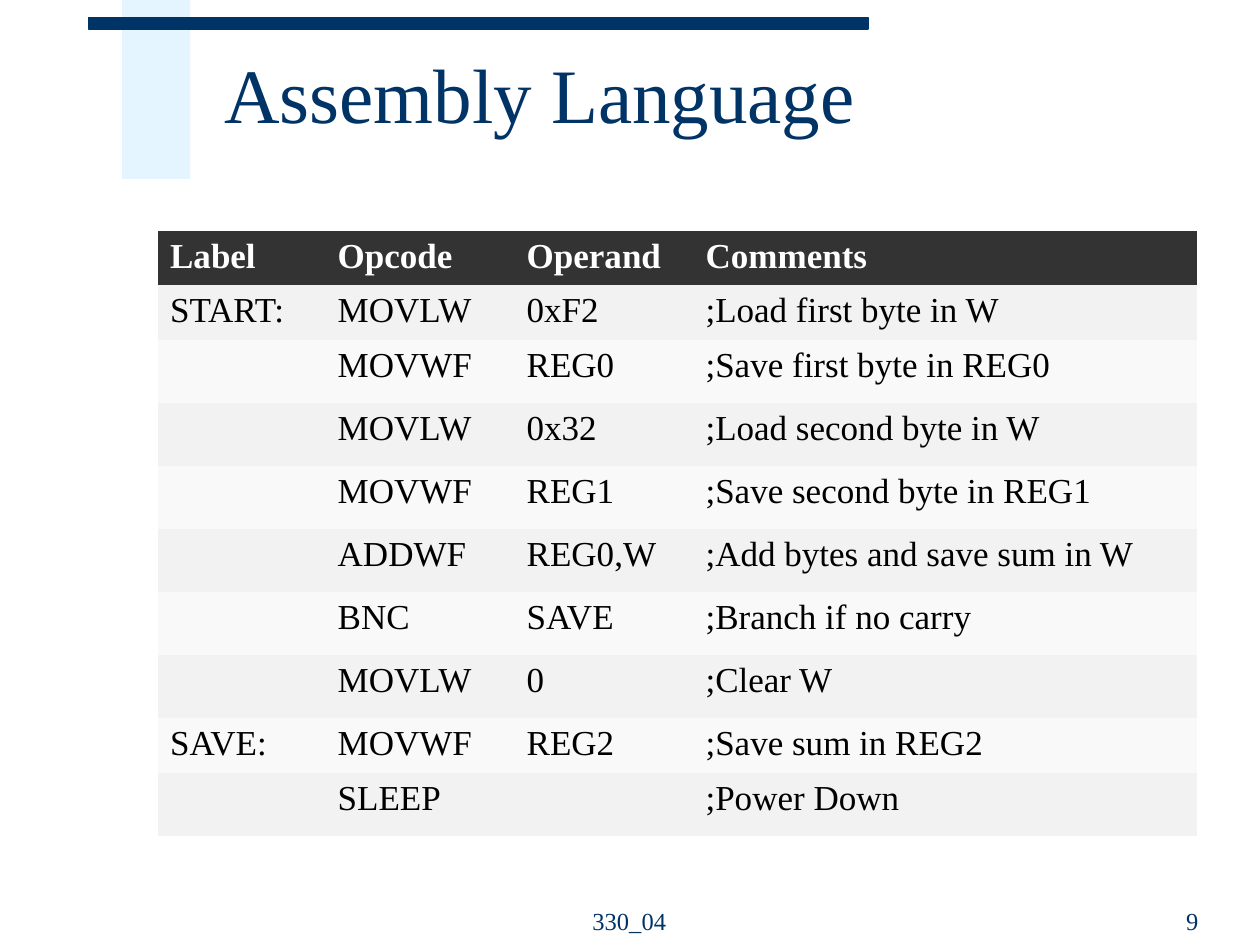
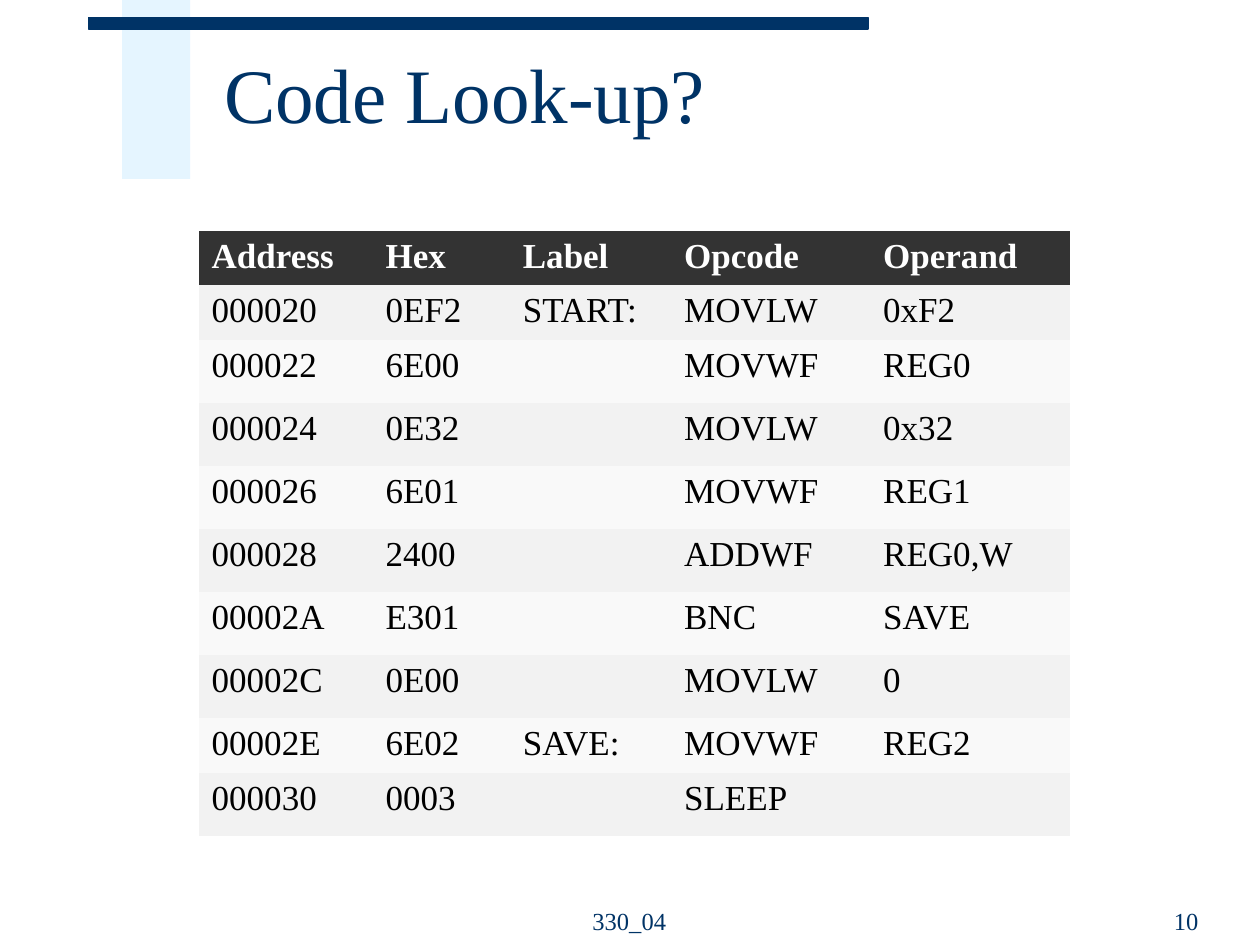
from dataclasses import dataclass

from lxml import etree
from pptx import Presentation
from pptx import util as u
from pptx.dml.color import RGBColor
from pptx.enum import shapes, text
from pptx.oxml import ns


@dataclass(frozen=True)
class Theme:
    font: str = "Times New Roman"
    navy: str = "003366"
    pale_blue: str = "CCECFF"
    header_fill: str = "333333"
    header_text: str = "FFFFFF"
    row_fills: tuple = ("F2F2F2", "F9F9F9")
    body_text: str = "000000"
    title_size: int = 44
    footer_size: int = 14
    table_size: int = 20
    empty_cell_size: int = 24


THEME = Theme()
NO_GRID_STYLE = "{2D5ABB26-0587-4C30-8999-92F81FD0307C}"
FIRST_ADDRESS = 0x20
BYTES_PER_INSTRUCTION = 2

# Hex code, label, opcode, operand, comment
PROGRAM = [
    ("0EF2", "START:", "MOVLW", "0xF2", ";Load first byte in W"),
    ("6E00", "", "MOVWF", "REG0", ";Save first byte in REG0"),
    ("0E32", "", "MOVLW", "0x32", ";Load second byte in W"),
    ("6E01", "", "MOVWF", "REG1", ";Save second byte in REG1"),
    ("2400", "", "ADDWF", "REG0,W", ";Add bytes and save sum in W"),
    ("E301", "", "BNC", "SAVE", ";Branch if no carry"),
    ("0E00", "", "MOVLW", "0", ";Clear W"),
    ("6E02", "SAVE:", "MOVWF", "REG2", ";Save sum in REG2"),
    ("0003", "", "SLEEP", "", ";Power Down"),
]


def box(left, top, width, height):
    return [u.Inches(length) for length in (left, top, width, height)]


def add_run(paragraph, words, size, color, bold=False):
    run = paragraph.add_run()
    run.text = words
    run.font.name = THEME.font
    run.font.size = u.Pt(size)
    run.font.bold = bold
    run.font.color.rgb = RGBColor.from_string(color)


def add_band(slide, place, color, opacity=None):
    band = slide.shapes.add_shape(shapes.MSO_SHAPE.RECTANGLE, *box(*place))
    band.shadow.inherit = False
    band.fill.solid()
    band.fill.fore_color.rgb = RGBColor.from_string(color)
    if opacity is None:
        band.line.color.rgb = RGBColor.from_string(color)
        band.line.width = u.Pt(0.75)
    else:
        band.line.fill.background()
        tint = band.fill._xPr.find(".//" + ns.qn("a:srgbClr"))
        etree.SubElement(tint, ns.qn("a:alpha"), val=str(opacity * 1000))


def add_text(slide, place, words, size, anchor, align, spacing=None):
    frame = slide.shapes.add_textbox(*box(*place)).text_frame
    frame.word_wrap = True
    frame.vertical_anchor = anchor
    paragraph = frame.paragraphs[0]
    paragraph.alignment = align
    paragraph.line_spacing = spacing
    add_run(paragraph, words, size, THEME.navy)


def add_base_slide(deck, title, number):
    """Add a slide with the bands, title and footer that all slides share."""
    slide = deck.slides.add_slide(deck.slide_layouts[6])
    add_band(slide, (0.97, 0, 0.54, 1.42), THEME.pale_blue, opacity=50)
    add_band(slide, (0.7, 0.14, 6.19, 0.09), THEME.navy)
    add_text(slide, (1.68, 0.17, 8.07, 1.25), title, THEME.title_size,
             text.MSO_ANCHOR.MIDDLE, text.PP_ALIGN.LEFT, spacing=0.85)
    footers = [
        ((4.08, 6.97, 1.83, 0.5), "330_04", text.PP_ALIGN.CENTER),
        ((7.21, 6.97, 2.4, 0.5), str(number), text.PP_ALIGN.RIGHT),
    ]
    for place, words, align in footers:
        add_text(slide, place, words, THEME.footer_size,
                 text.MSO_ANCHOR.BOTTOM, align)
    return slide


def fill_cell(cell, words, fill, color, bold):
    cell.fill.solid()
    cell.fill.fore_color.rgb = RGBColor.from_string(fill)
    paragraph = cell.text_frame.paragraphs[0]
    if words:
        add_run(paragraph, words, THEME.table_size, color, bold)
    else:
        # The size of an empty cell sets the height of its row
        end = etree.SubElement(paragraph._p, ns.qn("a:endParaRPr"),
                               sz=str(THEME.empty_cell_size * 100))
        etree.SubElement(end, ns.qn("a:latin"), typeface=THEME.font)


def add_code_table(slide, left, widths, header, lines):
    rows = [header, *lines]
    place = box(left, 1.83, sum(widths), 4.33)
    table = slide.shapes.add_table(len(rows), len(header), *place).table
    table._tbl.tblPr.find(ns.qn("a:tableStyleId")).text = NO_GRID_STYLE
    table.horz_banding = False
    for column, width in zip(table.columns, widths):
        column.width = u.Inches(width)
    for r, row in enumerate(rows):
        is_header = r == 0
        fill = THEME.header_fill if is_header else THEME.row_fills[(r - 1) % 2]
        color = THEME.header_text if is_header else THEME.body_text
        for c, words in enumerate(row):
            fill_cell(table.cell(r, c), words, fill, color, is_header)


def main():
    deck = Presentation()
    deck.slide_width, deck.slide_height = u.Inches(10), u.Inches(7.5)

    # Source code with comments
    assembly = add_base_slide(deck, "Assembly Language", 9)
    add_code_table(assembly, 1.25, (1.33, 1.5, 1.42, 4),
                   ("Label", "Opcode", "Operand", "Comments"),
                   [line[1:] for line in PROGRAM])

    # The same code with its addresses and machine code
    look_up = add_base_slide(deck, "Code Look-up?", 10)
    addressed = [
        (f"{FIRST_ADDRESS + i * BYTES_PER_INSTRUCTION:06X}", *line[:4])
        for i, line in enumerate(PROGRAM)
    ]
    add_code_table(look_up, 1.58, (1.38, 1.09, 1.28, 1.58, 1.58),
                   ("Address", "Hex", "Label", "Opcode", "Operand"),
                   addressed)

    deck.save("out.pptx")


if __name__ == "__main__":
    main()
